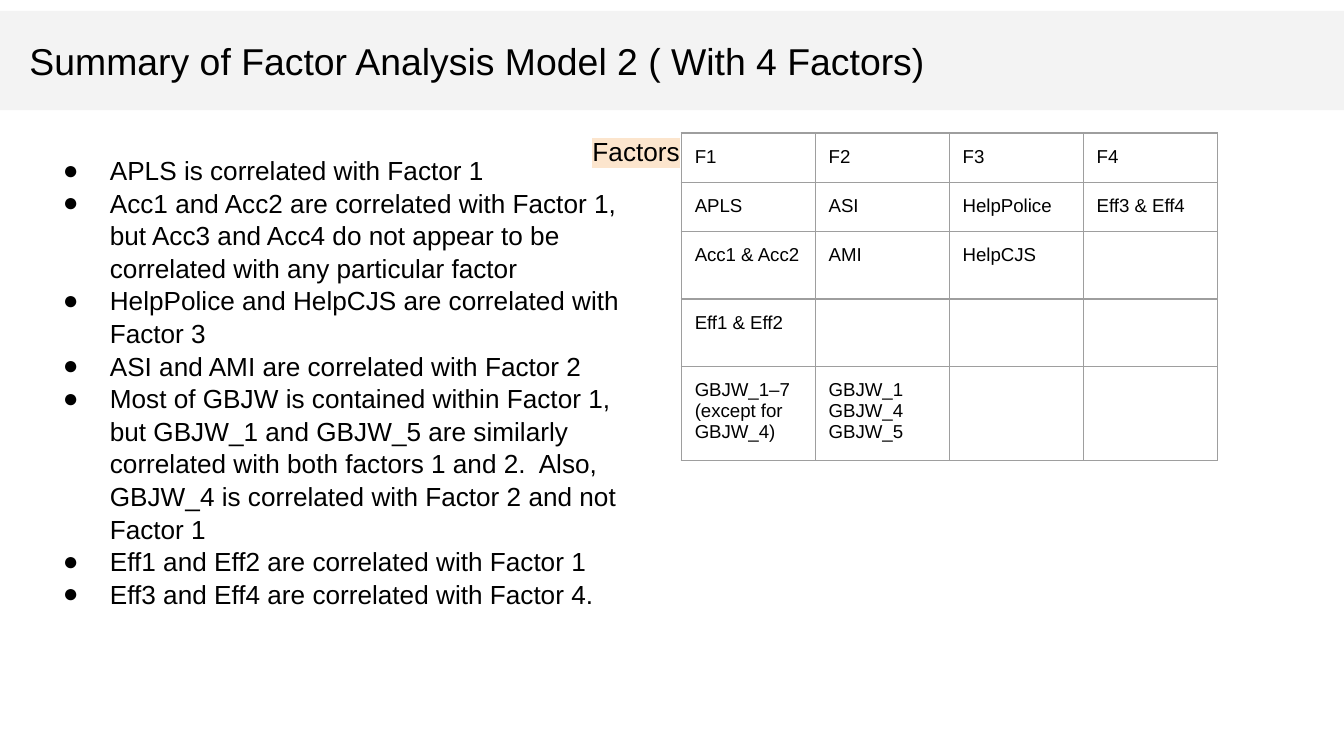
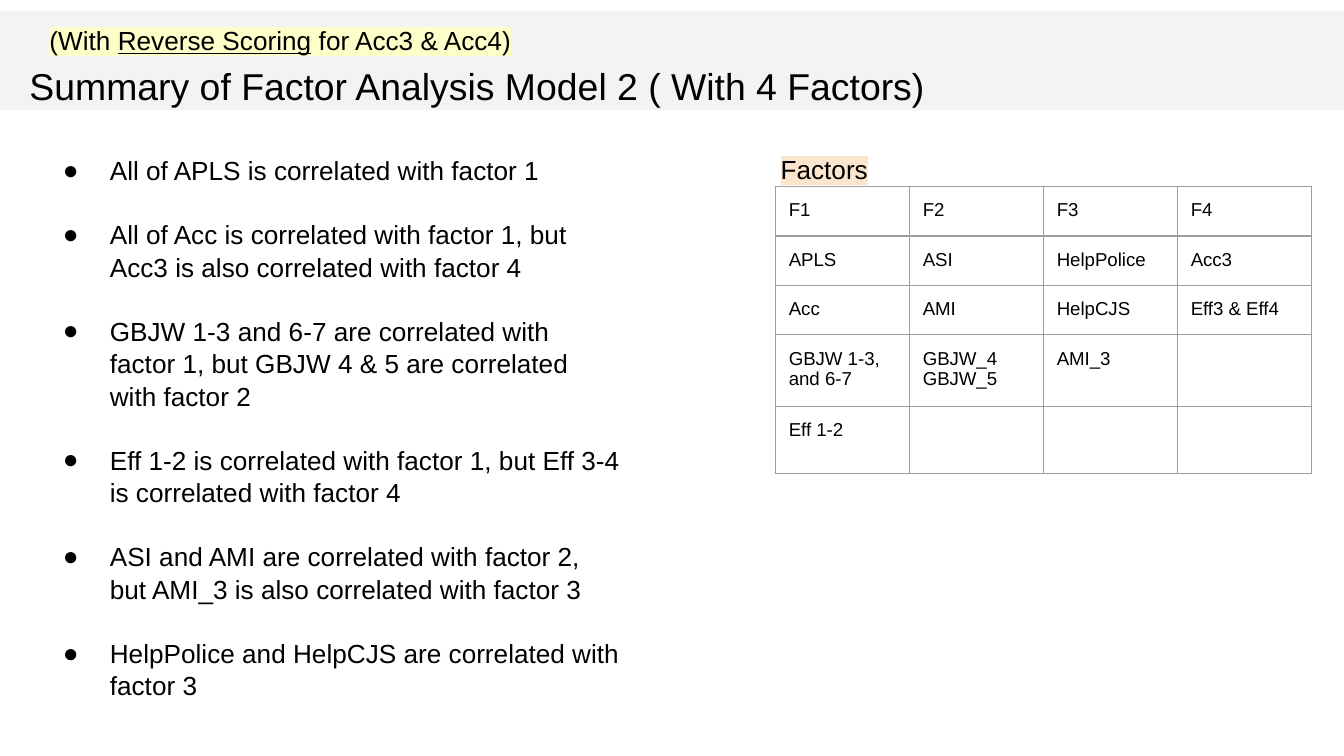
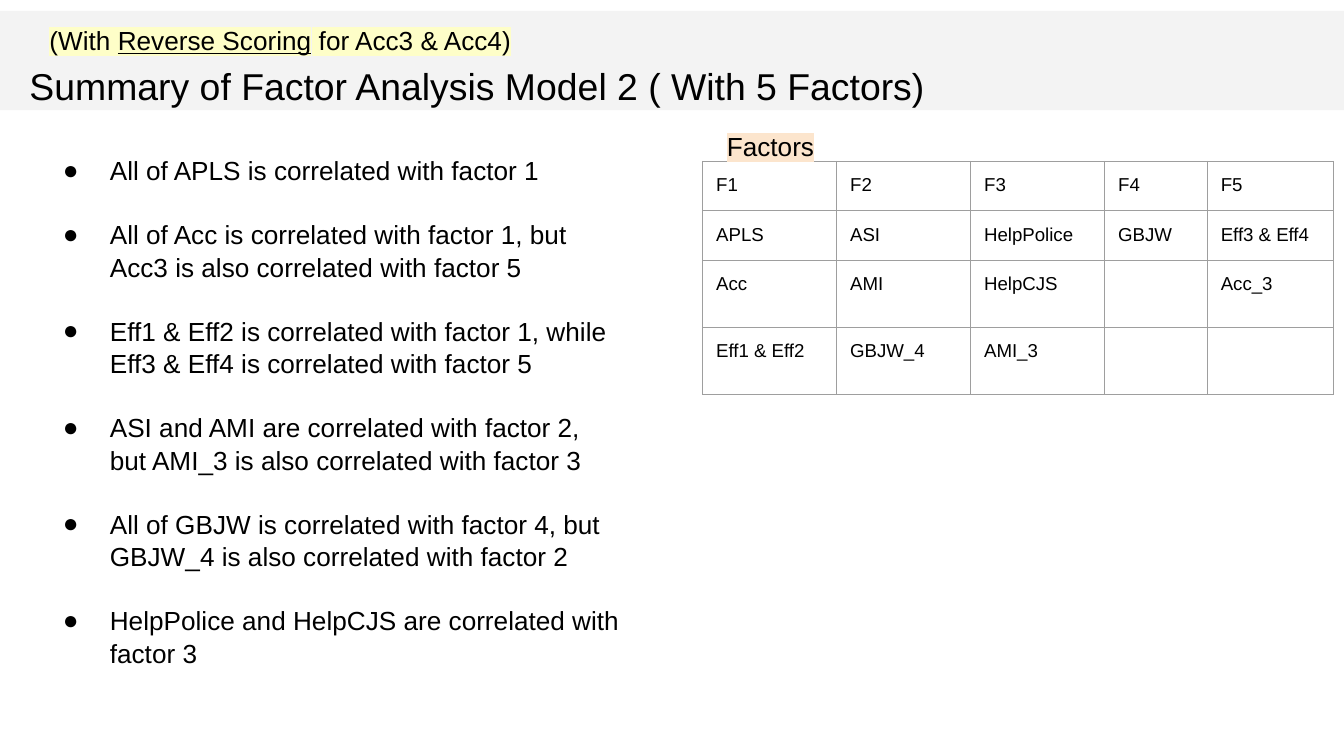
from lxml.etree import SubElement
from pptx import Presentation
from pptx.dml.color import RGBColor
from pptx.enum.shapes import MSO_SHAPE as Preset
from pptx.enum.text import MSO_ANCHOR as Anchor, MSO_AUTO_SIZE as AutoSize, PP_ALIGN as Align
from pptx.oxml import parse_xml
from pptx.oxml.ns import nsdecls, qn
from pptx.util import Pt

FONT = "Arial"
COLORS = {
    "text": "000000",
    "band": "F3F3F3",
    "border": "9E9E9E",
    "label": "FCE5CD",
    "note": "FEFEC8",
}
SLIDE_WIDTH, SLIDE_HEIGHT = 720, 405
INSET = 7.2
ROW_HEIGHT = 20
BODY_SIZE = 14
BULLET_GAP = 16.8


def color(name):
    return RGBColor.from_string(COLORS[name])


def add_run(paragraph, text, size=BODY_SIZE, underline=None, highlight=None):
    run = paragraph.add_run()
    run.text = text
    run.font.size = Pt(size)
    run.font.name = FONT
    run.font.underline = underline
    run.font.color.rgb = color("text")
    if highlight:
        properties = run._r.get_or_add_rPr()
        mark = SubElement(properties, qn("a:highlight"))
        SubElement(mark, qn("a:srgbClr")).set("val", COLORS[highlight])
        properties.find(qn("a:solidFill")).addnext(mark)


def set_insets(target):
    target.margin_left = target.margin_right = Pt(INSET)
    target.margin_top = target.margin_bottom = Pt(INSET)


def prepare_frame(shape):
    frame = shape.text_frame
    frame.word_wrap = True
    frame.vertical_anchor = Anchor.TOP
    set_insets(frame)
    return frame


def add_text_box(slide, left, top, width, height):
    return prepare_frame(slide.shapes.add_textbox(Pt(left), Pt(top), Pt(width), Pt(height)))


def add_title(slide, text, top):
    title = slide.shapes.title
    title.left, title.top, title.width, title.height = Pt(8.6), Pt(top), Pt(554), Pt(39)
    frame = prepare_frame(title)
    frame.auto_size = AutoSize.SHAPE_TO_FIT_TEXT
    frame.paragraphs[0].alignment = Align.LEFT
    add_run(frame.paragraphs[0], text, size=20)

    band = slide.shapes.add_shape(Preset.RECTANGLE, 0, Pt(5.8), Pt(SLIDE_WIDTH), Pt(53.3))
    band.shadow.inherit = False
    band.fill.solid()
    band.fill.fore_color.rgb = color("band")
    band.line.fill.background()
    title.element.addprevious(band.element)


def add_scoring_note(slide):
    paragraph = add_text_box(slide, 19.4, 5.8, 285, 21).paragraphs[0]
    add_run(paragraph, "(With ", highlight="note")
    add_run(paragraph, "Reverse Scoring", underline=True, highlight="note")
    add_run(paragraph, " for Acc3 & Acc4)", underline=False, highlight="note")


def add_factors_label(slide, left, top):
    paragraph = add_text_box(slide, left, top, 62, 21).paragraphs[0]
    add_run(paragraph, "Factors", highlight="label")


def add_bullets(slide, items, gap=0):
    frame = add_text_box(slide, 15.8, 74.9, 324, 308)
    for index, item in enumerate(items):
        paragraph = frame.add_paragraph() if index else frame.paragraphs[0]
        paragraph.line_spacing = 1.04
        paragraph.space_before = Pt(gap if index else 0)
        properties = paragraph._p.get_or_add_pPr()
        properties.set("marL", str(Pt(36)))
        properties.set("indent", str(Pt(-25.2)))
        bullet_color = SubElement(properties, qn("a:buClr"))
        SubElement(bullet_color, qn("a:srgbClr")).set("val", COLORS["text"])
        SubElement(properties, qn("a:buFont")).set("typeface", FONT)
        SubElement(properties, qn("a:buChar")).set("char", "●")
        add_run(paragraph, item)


def add_borders(cell):
    properties = cell._tc.get_or_add_tcPr()
    for index, side in enumerate(("lnL", "lnR", "lnT", "lnB")):
        properties.insert(index, parse_xml(
            f'<a:{side} {nsdecls("a")} w="{Pt(0.75)}"><a:solidFill>'
            f'<a:srgbClr val="{COLORS["border"]}"/></a:solidFill></a:{side}>'
        ))


def fill_cell(cell, text):
    set_insets(cell)
    cell.fill.background()
    add_borders(cell)
    if not text:
        return
    for index, line in enumerate(text.split("\n")):
        frame = cell.text_frame
        paragraph = frame.add_paragraph() if index else frame.paragraphs[0]
        add_run(paragraph, line, size=10)


def add_factor_table(slide, left, top, rows, widths):
    table = slide.shapes.add_table(
        len(rows), len(widths), Pt(left), Pt(top), Pt(sum(widths)), Pt(ROW_HEIGHT * len(rows))
    ).table
    table.first_row = table.horz_banding = False
    for column, width in zip(table.columns, widths):
        column.width = Pt(width)
    for row_index, row in enumerate(rows):
        for column_index, text in enumerate(row):
            fill_cell(table.cell(row_index, column_index), text)


def main():
    presentation = Presentation()
    presentation.slide_width, presentation.slide_height = Pt(SLIDE_WIDTH), Pt(SLIDE_HEIGHT)
    title_only = presentation.slide_layouts[5]
    equal_widths = [71.8] * 4

    slide = presentation.slides.add_slide(title_only)
    add_title(slide, "Summary of Factor Analysis Model 2 ( With 4 Factors)", 13)
    add_bullets(slide, [
        "APLS is correlated with Factor 1",
        "Acc1 and Acc2 are correlated with Factor 1, but Acc3 and Acc4 do not appear to be "
        "correlated with any particular factor",
        "HelpPolice and HelpCJS are correlated with Factor 3",
        "ASI and AMI are correlated with Factor 2",
        "Most of GBJW is contained within Factor 1, but GBJW_1 and GBJW_5 are similarly "
        "correlated with both factors 1 and 2.  Also, GBJW_4 is correlated with Factor 2 "
        "and not Factor 1",
        "Eff1 and Eff2 are correlated with Factor 1",
        "Eff3 and Eff4 are correlated with Factor 4.",
    ])
    add_factor_table(slide, 365, 71.2, [
        ["F1", "F2", "F3", "F4"],
        ["APLS", "ASI", "HelpPolice", "Eff3 & Eff4"],
        ["Acc1 & Acc2", "AMI", "HelpCJS", ""],
        ["Eff1 & Eff2", "", "", ""],
        ["GBJW_1–7 (except for GBJW_4)", "GBJW_1\nGBJW_4\nGBJW_5", "", ""],
    ], equal_widths)
    add_factors_label(slide, 310.3, 65.5)

    slide = presentation.slides.add_slide(title_only)
    add_title(slide, "Summary of Factor Analysis Model 2 ( With 4 Factors)", 26.6)
    add_scoring_note(slide)
    add_factor_table(slide, 415.4, 100, [
        ["F1", "F2", "F3", "F4"],
        ["APLS", "ASI", "HelpPolice", "Acc3"],
        ["Acc", "AMI", "HelpCJS", "Eff3 & Eff4"],
        ["GBJW 1-3, and 6-7", "GBJW_4\nGBJW_5", "AMI_3", ""],
        ["Eff 1-2", "", "", ""],
    ], equal_widths)
    add_factors_label(slide, 411.1, 74.9)
    add_bullets(slide, [
        "All of APLS is correlated with factor 1",
        "All of Acc is correlated with factor 1, but Acc3 is also correlated with factor 4",
        "GBJW 1-3 and 6-7 are correlated with factor 1, but GBJW 4 & 5 are correlated "
        "with factor 2",
        "Eff 1-2 is correlated with factor 1, but Eff 3-4 is correlated with factor 4",
        "ASI and AMI are correlated with factor 2, but AMI_3 is also correlated with factor 3",
        "HelpPolice and HelpCJS are correlated with factor 3",
    ], gap=BULLET_GAP)

    slide = presentation.slides.add_slide(title_only)
    add_title(slide, "Summary of Factor Analysis Model 2 ( With 5 Factors)", 26.6)
    add_scoring_note(slide)
    add_factor_table(slide, 376.5, 86.5, [
        ["F1", "F2", "F3", "F4", "F5"],
        ["APLS", "ASI", "HelpPolice", "GBJW", "Eff3 & Eff4"],
        ["Acc", "AMI", "HelpCJS", "", "Acc_3"],
        ["Eff1 & Eff2", "GBJW_4", "AMI_3", "", ""],
    ], equal_widths[:3] + [55, 67.4])
    add_factors_label(slide, 382.3, 62.6)
    add_bullets(slide, [
        "All of APLS is correlated with factor 1",
        "All of Acc is correlated with factor 1, but Acc3 is also correlated with factor 5",
        "Eff1 & Eff2 is correlated with factor 1, while Eff3 & Eff4 is correlated with factor 5",
        "ASI and AMI are correlated with factor 2, but AMI_3 is also correlated with factor 3",
        "All of GBJW is correlated with factor 4, but GBJW_4 is also correlated with factor 2",
        "HelpPolice and HelpCJS are correlated with factor 3",
    ], gap=BULLET_GAP)

    presentation.save("out.pptx")


if __name__ == "__main__":
    main()
